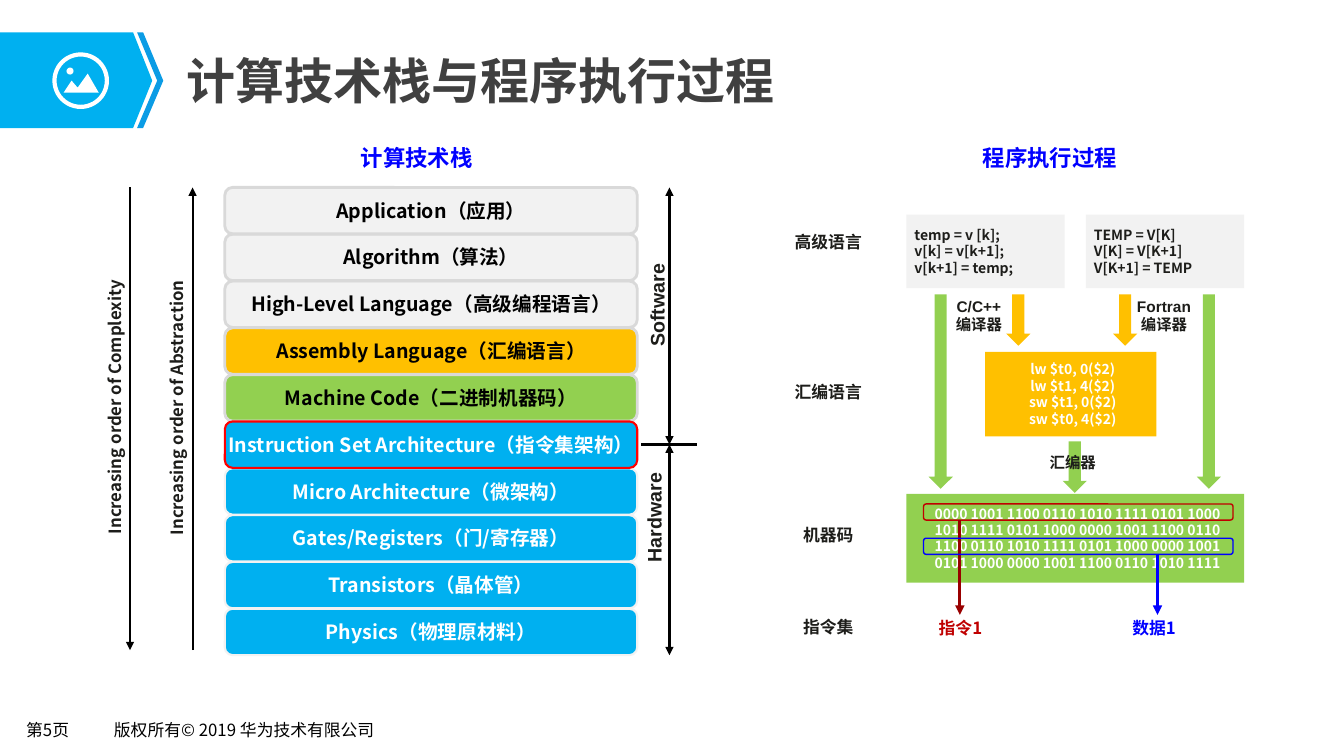
from lxml import etree
from pptx import Presentation
from pptx.dml import color
from pptx.enum import shapes, text
from pptx.oxml import ns
from pptx.util import Inches, Pt

SANS, ARIAL = "Noto Sans CJK SC", "Arial"
COLOURS = {
    "black": "000000", "ink": "1D1D1A", "title": "404040", "white": "FFFFFF",
    "sky": "00B0F0", "deep sky": "0B9CE5", "pale": "F2F2F2", "grey": "D9D9D9",
    "amber": "FFC000", "green": "92D050", "red": "FF0000", "crimson": "C00000",
    "dark red": "990000", "blue": "0000FF",
}
TITLE = "计算技术栈与程序执行过程"
# label, fill, outline, outline width, text colour
SOFT = ("grey", 2, "black")
HARD = ("sky", "pale", 1.5, "white")
LAYERS = [
    ("Application（应用）", "pale", *SOFT),
    ("Algorithm（算法）", "pale", *SOFT),
    ("High-Level Language（高级编程语言）", "pale", *SOFT),
    ("Assembly Language（汇编语言）", "amber", *SOFT),
    ("Machine Code（二进制机器码）", "green", *SOFT),
    ("Instruction Set Architecture（指令集架构）", "sky", "red", 1.5, "white"),
    ("Micro Architecture（微架构）", *HARD),
    ("Gates/Registers（门/寄存器）", *HARD),
    ("Transistors（晶体管）", *HARD),
    ("Physics（物理原材料）", *HARD),
]
ISA_ROW = 5
STACK_LEFT, STACK_TOP, STACK_WIDTH = 2.23, 1.86, 4.09
LAYER_HEIGHT, LAYER_PITCH = 0.46, 0.4644
# text, centre x, lower end y, length, height, size, font
SIDE_LABELS = [
    ("Increasing order of Complexity", 1.13, 5.3, 2.6, 0.26, 12, SANS),
    ("Increasing order of Abstraction", 1.74, 5.31, 2.6, 0.26, 12, SANS),
    ("Software", 6.5, 3.44, 0.95, 0.29, 14, ARIAL),
    ("Hardware", 6.47, 5.58, 0.95, 0.29, 14, ARIAL),
]
HEADINGS = [("计算技术栈", 3.48, 1.5), ("程序执行过程", 9.65, 1.62)]
STAGES = [("高级语言", 2.26), ("汇编语言", 3.74), ("机器码", 5.16), ("指令集", 5.99)]
# lines, box, fill, text colour, centred
CODE = [
    (["temp = v [k];", "v[k] = v[k+1];", "v[k+1] = temp;"],
     (8.99, 2.13, 1.57, 0.73), "pale", "ink", False),
    (["TEMP = V[K]", "V[K] = V[K+1]", "V[K+1] = TEMP"],
     (10.77, 2.13, 1.57, 0.73), "pale", "ink", False),
    (["lw $t0, 0($2)", "lw $t1, 4($2)", "sw $t1, 0($2)", "sw $t0, 4($2)"],
     (9.77, 3.49, 1.7, 0.84), "amber", "white", True),
    (["0000 1001 1100 0110 1010 1111 0101 1000",
      "1010 1111 0101 1000 0000 1001 1100 0110",
      "1100 0110 1010 1111 0101 1000 0000 1001",
      "0101 1000 0000 1001 1100 0110 1010 1111"],
     (8.99, 4.9, 3.35, 0.88), "green", "white", True),
]
# left, top, height, fill
FLOWS = [
    (9.98, 2.92, 0.51, "amber"), (11.04, 2.92, 0.51, "amber"),
    (9.21, 2.92, 1.93, "green"), (11.87, 2.92, 1.93, "green"),
    (10.54, 4.38, 0.51, "green"),
]
TOOLS = [
    (["C/C++", "编译器"], (9.18, 2.9, 1.06, 0.59)),
    (["Fortran", "编译器"], (11.09, 2.9, 0.91, 0.52)),
    (["汇编器"], (10.15, 4.45, 0.98, 0.31)),
]
# label, label left, frame top, arrow x, text and frame colour, arrow colour
MARKED_WORDS = [
    ("指令1", 9.27, 5.0, 9.52, "crimson", "dark red"),
    ("数据1", 11.19, 5.34, 11.48, "blue", "blue"),
]
FOOTERS = [("第5页", 0.17, 0.74), ("版权所有© 2019 华为技术有限公司", 1.04, 2.85)]

deck = Presentation()
deck.slide_width, deck.slide_height = Inches(13.33), Inches(7.5)
page = deck.slides.add_slide(deck.slide_layouts[5])


def rgb(name):
    return color.RGBColor.from_string(COLOURS[name])


def write(box, lines, size, colour, font=SANS, centred=False, bold=True,
          middle=False, wrap=True, insets=(0.1, 0.05, 0.1, 0.05)):
    frame = box.text_frame
    frame.word_wrap = wrap
    frame.vertical_anchor = text.MSO_ANCHOR.MIDDLE if middle else text.MSO_ANCHOR.TOP
    (frame.margin_left, frame.margin_top,
     frame.margin_right, frame.margin_bottom) = map(Inches, insets)
    frame.text = "\n".join(lines)
    for para in frame.paragraphs:
        para.alignment = text.PP_ALIGN.CENTER if centred else text.PP_ALIGN.LEFT
        para.line_spacing = Pt(round(size * 1.17, 1))
        para.font.size, para.font.bold, para.font.name = Pt(size), bold, font
        para.font.color.rgb = rgb(colour)
        east_asian = etree.Element(ns.qn("a:ea"), typeface=SANS)
        para.font._element.find(ns.qn("a:latin")).addnext(east_asian)


def label(lines, place, size, colour, **style):
    box = page.shapes.add_textbox(*map(Inches, place))
    write(box, lines, size, colour, **style)
    return box


def paint(shape, fill=None, line=None, width=1):
    shape.shadow.inherit = False
    if fill:
        shape.fill.solid()
        shape.fill.fore_color.rgb = rgb(fill)
    else:
        shape.fill.background()
    if line:
        shape.line.color.rgb, shape.line.width = rgb(line), Pt(width)
    else:
        shape.line.fill.background()
    return shape


def block(kind, place, fill=None, line=None, width=1):
    shape = page.shapes.add_shape(kind, *map(Inches, place))
    return paint(shape, fill, line, width)


def outline(points, fill):
    start, *rest = [(Inches(x), Inches(y)) for x, y in points]
    builder = page.shapes.build_freeform(*start, scale=1.0)
    builder.add_line_segments(rest, close=True)
    paint(builder.convert_to_shape(), fill)


def arrow(x1, y1, x2, y2, colour="black", width=1.5, ends=("tailEnd",)):
    line = page.shapes.add_connector(
        shapes.MSO_CONNECTOR.STRAIGHT, *map(Inches, (x1, y1, x2, y2)))
    line.line.color.rgb, line.line.width = rgb(colour), Pt(width)
    for end in ends:
        etree.SubElement(line.line._get_or_add_ln(), ns.qn(f"a:{end}"), type="triangle")
    etree.SubElement(line._element.spPr, ns.qn("a:effectLst"))


# Footer
for words, left, width in FOOTERS:
    label([words], (left, 7.11, width, 0.29), 12, "black", bold=False, wrap=False,
          insets=(0.09, 0.04, 0.09, 0.04))

# Title banner with picture icon
outline([(0, 0.32), (1.32, 0.32), (1.51, 0.8), (1.32, 1.27), (0, 1.27)], "sky")
outline([(1.36, 0.32), (1.42, 0.32), (1.62, 0.8), (1.42, 1.27), (1.36, 1.27),
         (1.56, 0.8)], "deep sky")
block(shapes.MSO_SHAPE.OVAL, (0.54, 0.54, 0.52, 0.52), line="white", width=3)
block(shapes.MSO_SHAPE.OVAL, (0.66, 0.67, 0.07, 0.07), "white")
outline([(0.63, 0.92), (0.71, 0.8), (0.77, 0.87), (0.87, 0.73), (0.98, 0.92)], "white")
title = page.shapes.title
title.left, title.top, title.width, title.height = map(Inches, (1.74, 0.45, 10.75, 0.7))
write(title, [TITLE], 35, "title", middle=True, insets=(0.11, 0.06, 0.11, 0.06))

for words, left, width in HEADINGS:
    label([words], (left, 1.39, width, 0.32), 16, "blue", wrap=False)

# Technology stack, the instruction set row on top
for row in sorted(range(len(LAYERS)), key=lambda row: (row == ISA_ROW, -row)):
    words, fill, line, width, ink = LAYERS[row]
    place = (STACK_LEFT, STACK_TOP + row * LAYER_PITCH, STACK_WIDTH, LAYER_HEIGHT)
    layer = block(shapes.MSO_SHAPE.ROUNDED_RECTANGLE, place, fill, line, width)
    write(layer, [words], 14, ink, centred=True, middle=True, insets=(0, 0.05, 0, 0.05))

# Axes beside the stack
both = ("headEnd", "tailEnd")
arrow(1.29, 1.86, 1.29, 6.45)
arrow(1.91, 6.45, 1.91, 1.86)
arrow(6.36, 4.41, 6.91, 4.41, ends=())
arrow(6.64, 4.41, 6.64, 1.86, ends=both)
arrow(6.64, 6.5, 6.64, 4.41, ends=both)
for words, x, end, length, height, size, font in SIDE_LABELS:
    place = (x - length / 2, end - (length + height) / 2, length, height)
    side = label([words], place, size, "ink", font=font, wrap=False,
                 insets=(0, 0.05, 0, 0.05))
    side.rotation = 270

# Program execution
for words, top in STAGES:
    label([words], (7.65, top, 1.13, 0.47), 12, "ink", centred=True,
          middle=words == "指令集")
for lines, place, fill, ink, centred in CODE:
    write(block(shapes.MSO_SHAPE.RECTANGLE, place, fill), lines, 10, ink,
          centred=centred, middle=True, insets=(0.08, 0.05, 0.04, 0.05))
for left, top, height, fill in FLOWS:
    block(shapes.MSO_SHAPE.DOWN_ARROW, (left, top, 0.24, height), fill)
for lines, place in TOOLS:
    label(lines, place, 11, "ink", font=ARIAL, centred=True)

# Marked machine words
for words, left, top, x, ink, stroke in MARKED_WORDS:
    block(shapes.MSO_SHAPE.ROUNDED_RECTANGLE, (9.16, top, 3.07, 0.16), line=ink)
    arrow(x, top + 0.16, x, 6.1, stroke, 2.25)
    label([words], (left, 6.09, 0.55, 0.28), 12, ink, middle=True, wrap=False,
          insets=(0.04, 0.05, 0, 0.05))

deck.save("out.pptx")
